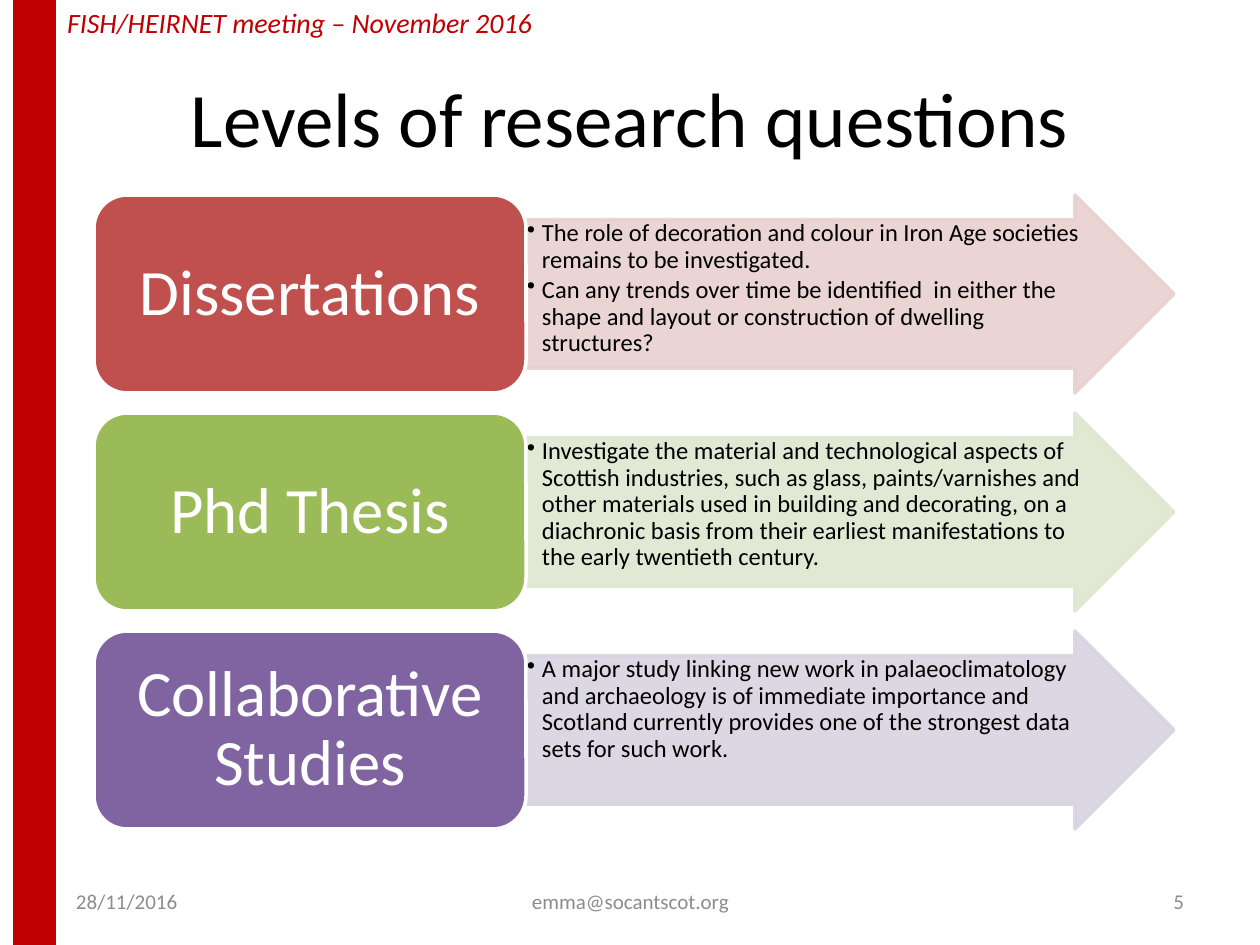
from dataclasses import dataclass

import pptx
import pptx.dml.color
import pptx.enum.shapes
import pptx.enum.text
import pptx.oxml.ns
import pptx.util
from lxml import etree

SHAPES = pptx.enum.shapes.MSO_SHAPE
ALIGN = pptx.enum.text.PP_ALIGN
ANCHOR = pptx.enum.text.MSO_ANCHOR
EMU_PER_PX = 914400 / 126


@dataclass(frozen=True)
class Theme:
    font: str = "Calibri"
    accent: str = "C00000"
    dark: str = "000000"
    light: str = "FFFFFF"
    muted: str = "8C8C8C"
    title_size: int = 44
    label_size: int = 37
    header_size: int = 16
    bullet_size: int = 14
    footer_size: int = 12
    outline: int = 2
    arrow_opacity: int = 90


@dataclass(frozen=True)
class Box:
    left: int
    top: int
    width: int
    height: int


@dataclass(frozen=True)
class Caption:
    text: str
    box: Box
    size: int
    color: str
    align: ALIGN = ALIGN.LEFT
    anchor: ANCHOR = ANCHOR.MIDDLE
    italic: bool = False


@dataclass(frozen=True)
class Level:
    label: str
    fill: str
    tint: str
    questions: tuple[str, ...]


THEME = Theme()
ROW_TOP, ROW_PITCH, ROW_HEIGHT = 195, 218, 198
LABEL_LEFT, LABEL_WIDTH = 94, 432
ARROW_LEFT, ARROW_WIDTH = 526, 648
FOOTER_TOP, FOOTER_HEIGHT = 876, 50
BULLET_INDENT = 15

CAPTIONS = (
    Caption("FISH/HEIRNET meeting – November 2016", Box(54, 0, 1206, 47),
            THEME.header_size, THEME.accent, anchor=ANCHOR.TOP, italic=True),
    Caption("Levels of research questions", Box(63, 38, 1134, 157),
            THEME.title_size, THEME.dark, ALIGN.CENTER),
    Caption("28/11/2016", Box(63, FOOTER_TOP, 294, FOOTER_HEIGHT),
            THEME.footer_size, THEME.muted),
    Caption("emma@socantscot.org", Box(431, FOOTER_TOP, 399, FOOTER_HEIGHT),
            THEME.footer_size, THEME.muted, ALIGN.CENTER),
    Caption("5", Box(903, FOOTER_TOP, 294, FOOTER_HEIGHT),
            THEME.footer_size, THEME.muted, ALIGN.RIGHT),
)

LEVELS = (
    Level("Dissertations", "C0504D", "E8D0D0", (
        "The role of decoration and colour in Iron Age societies remains to be investigated.",
        "Can any trends over time be identified  in either the shape and layout "
        "or construction of dwelling structures?",
    )),
    Level("Phd Thesis", "9BBB59", "DEE7D1", (
        "Investigate the material and technological aspects of Scottish industries, such as "
        "glass, paints/varnishes and other materials used in building and decorating, on a "
        "diachronic basis from their earliest manifestations to the early twentieth century.",
    )),
    Level("Collaborative Studies", "8064A2", "D8D3E0", (
        "A major study linking new work in palaeoclimatology and archaeology is of immediate "
        "importance and Scotland currently provides one of the strongest data sets for such work.",
    )),
)


def px(value: int) -> pptx.util.Emu:
    return pptx.util.Emu(round(value * EMU_PER_PX))


def place(box: Box) -> tuple[pptx.util.Emu, ...]:
    return px(box.left), px(box.top), px(box.width), px(box.height)


def rgb(color: str) -> pptx.dml.color.RGBColor:
    return pptx.dml.color.RGBColor.from_string(color)


def style_font(paragraph, size: int, color: str, italic: bool = False) -> None:
    paragraph.font.name = THEME.font
    paragraph.font.size = pptx.util.Pt(size)
    paragraph.font.color.rgb = rgb(color)
    paragraph.font.italic = italic


def set_frame(frame, horizontal: int, vertical: int, anchor: ANCHOR) -> None:
    frame.word_wrap = True
    frame.vertical_anchor = anchor
    frame.margin_left = frame.margin_right = px(horizontal)
    frame.margin_top = frame.margin_bottom = px(vertical)


def add_block(slide, kind: SHAPES, box: Box, fill: str, line: str):
    shape = slide.shapes.add_shape(kind, *place(box))
    shape.shadow.inherit = False
    shape.fill.solid()
    shape.fill.fore_color.rgb = rgb(fill)
    shape.line.color.rgb = rgb(line)
    shape.line.width = pptx.util.Pt(THEME.outline)
    return shape


def add_caption(slide, caption: Caption) -> None:
    frame = slide.shapes.add_textbox(*place(caption.box)).text_frame
    set_frame(frame, 13, 6, caption.anchor)
    paragraph = frame.paragraphs[0]
    paragraph.text = caption.text
    paragraph.alignment = caption.align
    style_font(paragraph, caption.size, caption.color, caption.italic)


def add_bullet(paragraph) -> None:
    properties = paragraph._p.get_or_add_pPr()
    properties.set("marL", str(px(BULLET_INDENT)))
    properties.set("indent", str(-px(BULLET_INDENT)))
    etree.SubElement(properties, pptx.oxml.ns.qn("a:buChar"), char="•")


def add_arrow(slide, level: Level, top: int) -> None:
    box = Box(ARROW_LEFT, top, ARROW_WIDTH, ROW_HEIGHT)
    arrow = add_block(slide, SHAPES.RIGHT_ARROW, box, level.tint, level.tint)
    arrow.adjustments[0] = 0.75
    arrow.adjustments[1] = 0.5
    for color in arrow._element.spPr.iter(pptx.oxml.ns.qn("a:srgbClr")):
        etree.SubElement(color, pptx.oxml.ns.qn("a:alpha"), val=str(THEME.arrow_opacity * 1000))
    frame = arrow.text_frame
    set_frame(frame, 1, 1, ANCHOR.TOP)
    for index, question in enumerate(level.questions):
        paragraph = frame.add_paragraph() if index else frame.paragraphs[0]
        paragraph.text = question
        paragraph.alignment = ALIGN.LEFT
        paragraph.line_spacing = 0.9
        paragraph.space_after = pptx.util.Pt(2.1)
        add_bullet(paragraph)
        style_font(paragraph, THEME.bullet_size, THEME.dark)


def add_label(slide, level: Level, top: int) -> None:
    box = Box(LABEL_LEFT, top, LABEL_WIDTH, ROW_HEIGHT)
    label = add_block(slide, SHAPES.ROUNDED_RECTANGLE, box, level.fill, THEME.light)
    set_frame(label.text_frame, 19, 9, ANCHOR.MIDDLE)
    paragraph = label.text_frame.paragraphs[0]
    paragraph.text = level.label
    paragraph.alignment = ALIGN.CENTER
    paragraph.line_spacing = 0.9
    style_font(paragraph, THEME.label_size, THEME.light)


def main() -> None:
    presentation = pptx.Presentation()
    presentation.slide_width = px(1260)
    presentation.slide_height = px(945)
    slide = presentation.slides.add_slide(presentation.slide_layouts[6])
    add_block(slide, SHAPES.RECTANGLE, Box(15, 0, 39, 945), THEME.accent, THEME.accent)
    for caption in CAPTIONS:
        add_caption(slide, caption)
    for index, level in enumerate(LEVELS):
        top = ROW_TOP + index * ROW_PITCH
        add_arrow(slide, level, top)
        add_label(slide, level, top)
    presentation.save("out.pptx")


if __name__ == "__main__":
    main()
